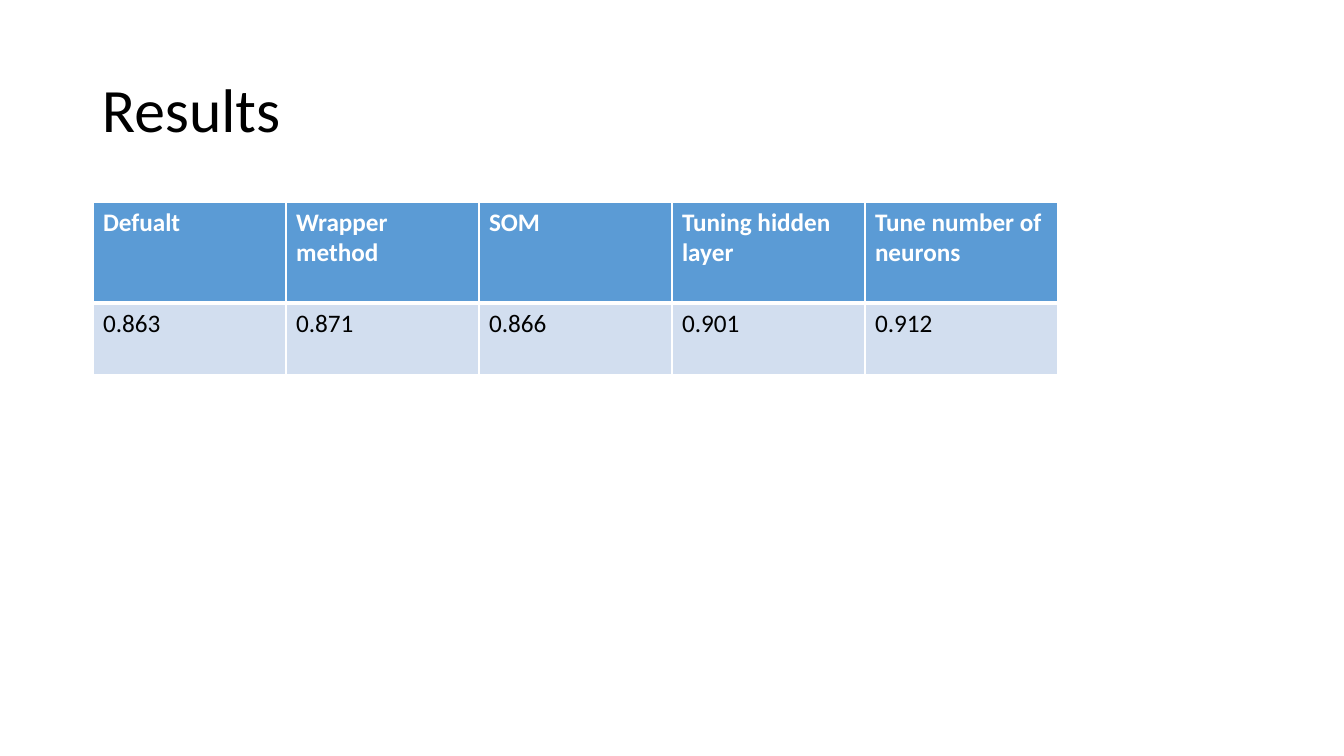
from lxml import etree
from pptx import Presentation
from pptx.dml.color import RGBColor
from pptx.enum.text import MSO_ANCHOR
from pptx.oxml.ns import qn
from pptx.util import Pt

MIDDLE = MSO_ANCHOR.MIDDLE
BLACK = RGBColor(0x00, 0x00, 0x00)
WHITE = RGBColor(0xFF, 0xFF, 0xFF)
HEADER_BLUE = RGBColor(0x5B, 0x9B, 0xD5)
PALE_BLUE = RGBColor(0xD2, 0xDE, 0xEF)
FONT = "Calibri"
EMU_PER_INCH = 914400
PX_PER_INCH = 100.8


def px(length):
    return round(length * EMU_PER_INCH / PX_PER_INCH)


def style_text(frame, size, color, bold=False):
    for para in frame.paragraphs:
        for span in para.runs:
            span.font.name = FONT
            span.font.size = Pt(size)
            span.font.bold = bold
            span.font.color.rgb = color


deck = Presentation()
deck.slide_width = px(1344)
deck.slide_height = px(756)
page = deck.slides.add_slide(deck.slide_layouts[6])

title_box = page.shapes.add_textbox(px(92), px(40), px(1159), px(146))
title = title_box.text_frame
title.word_wrap = True
title.vertical_anchor = MIDDLE
title.text = "Results"
title.paragraphs[0].line_spacing = 0.9
style_text(title, 44, BLACK)

scores = [
    ("Defualt", "0.863"),
    ("Wrapper method", "0.871"),
    ("SOM", "0.866"),
    ("Tuning hidden layer", "0.901"),
    ("Tune number of neurons", "0.912"),
]
row_styles = [
    (101, HEADER_BLUE, WHITE, True, 3),
    (72, PALE_BLUE, BLACK, False, 1),
]
column_width = 193
table = page.shapes.add_table(
    len(row_styles), len(scores), px(93), px(202),
    px(column_width * len(scores)), px(sum(style[0] for style in row_styles)),
).table

for column in table.columns:
    column.width = px(column_width)

for row, (height, fill, color, bold, bottom_width) in enumerate(row_styles):
    table.rows[row].height = px(height)
    top_width = row_styles[row - 1][4] if row else 1
    edges = [("a:lnL", 1), ("a:lnR", 1), ("a:lnT", top_width), ("a:lnB", bottom_width)]
    for column, score in enumerate(scores):
        cell = table.cell(row, column)
        cell.text_frame.text = score[row]
        style_text(cell.text_frame, 18, color, bold)
        properties = cell._tc.get_or_add_tcPr()
        for tag, width in edges:
            line = etree.SubElement(properties, qn(tag), w=str(Pt(width)))
            paint = etree.SubElement(line, qn("a:solidFill"))
            etree.SubElement(paint, qn("a:srgbClr"), val=str(WHITE))
        cell.fill.solid()
        cell.fill.fore_color.rgb = fill

deck.save("out.pptx")
